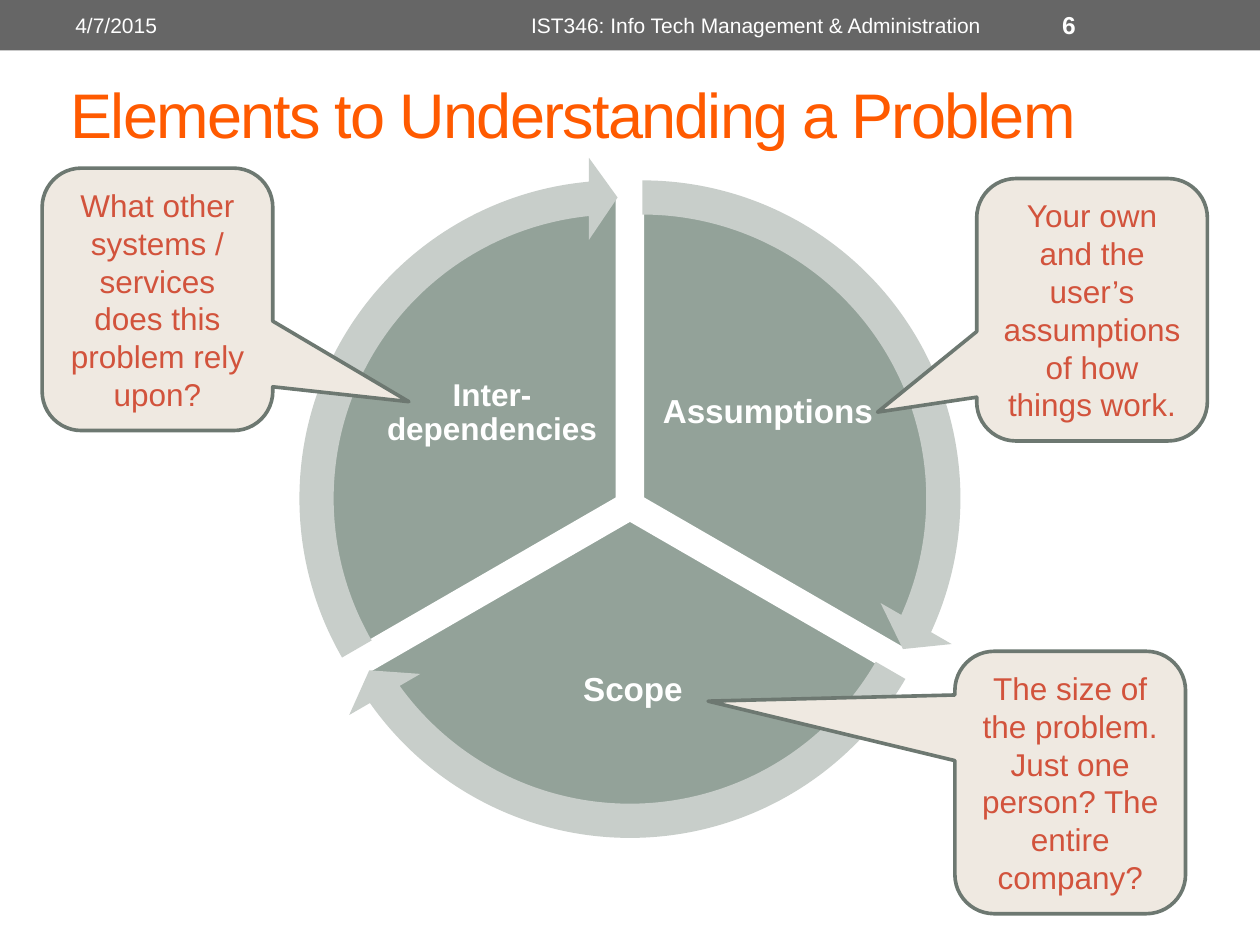
"""Build the slide on the elements to understanding a problem."""
from dataclasses import dataclass

from pptx import Presentation
from pptx.dml.color import RGBColor
from pptx.enum.shapes import MSO_SHAPE
from pptx.enum.text import MSO_ANCHOR, MSO_AUTO_SIZE, PP_ALIGN
from pptx.util import Cm, Pt

RECT = MSO_SHAPE.RECTANGLE
PIE = MSO_SHAPE.PIE
ARROW = MSO_SHAPE.CIRCULAR_ARROW
CALLOUT = MSO_SHAPE.ROUNDED_RECTANGULAR_CALLOUT
MIDDLE = MSO_ANCHOR.MIDDLE
NO_FIT = MSO_AUTO_SIZE.NONE
LEFT, CENTER = PP_ALIGN.LEFT, PP_ALIGN.CENTER

WHITE = RGBColor(0xFF, 0xFF, 0xFF)
GREY = RGBColor(0x66, 0x66, 0x66)
ORANGE = RGBColor(0xFF, 0x5A, 0x00)
SAGE = RGBColor(0x93, 0xA2, 0x99)
PALE_SAGE = RGBColor(0xC8, 0xCE, 0xCA)
DARK_SAGE = RGBColor(0x6D, 0x78, 0x71)
CREAM = RGBColor(0xEF, 0xE9, 0xE1)
RED = RGBColor(0xD2, 0x53, 0x3C)

FONT = "Arial"
LINE_WIDTH = Pt(2.08)
PIE_SIZE = 12.27
ARROW_SIZE = 13.79
CALLOUT_SIZE = (4.65, 5.29)
HEADER_TOP, HEADER_HEIGHT = 0.05, 0.91


@dataclass
class Sector:
    label: str
    size: int
    center: tuple
    box: tuple
    pie_angles: tuple
    arrow_angles: tuple


@dataclass
class Callout:
    text: str
    left: float
    top: float
    tip: tuple


@dataclass
class HeaderItem:
    text: str
    left: float
    width: float
    size: int = 12
    bold: bool = False
    align: PP_ALIGN = LEFT


SECTORS = [
    Sector("Assumptions", 19, (12.95, 10.05), (13.28, 6.5, 4.4, 3.66),
           (162, 18), (14.73, 161.99)),
    Sector("Scope", 19, (12.7, 10.48), (9.47, 12.32, 6.58, 3.2),
           (18, 90), (86.72, 18.01)),
    Sector("Inter-dependencies", 18, (12.45, 10.05), (7.72, 6.5, 4.4, 3.66),
           (90, 162), (158.73, 90)),
]
CALLOUTS = [
    Callout("Your own and the user’s assumptions of how things work.",
            19.69, 3.6, (-0.93, 0.39)),
    Callout("The size of the problem. Just one person? The entire company?",
            19.25, 13.13, (-1.57, -0.31)),
    Callout("What other systems / services does this problem rely upon?",
            0.85, 3.39, (1.09, 0.39)),
]
HEADER = [
    HeaderItem("4/7/2015", 1.27, 8.05),
    HeaderItem("IST346: Info Tech Management & Administration", 9.53, 11.43, align=CENTER),
    HeaderItem("6", 21.16, 2.97, size=14, bold=True),
]


def write(sp, text: str, *, size: int, color: RGBColor, bold: bool = False,
          align: PP_ALIGN = CENTER, line_spacing: float = 1.0,
          inset: float | None = None, spacing: int | None = None) -> None:
    tf = sp.text_frame
    tf.word_wrap = True
    tf.auto_size = NO_FIT
    tf.vertical_anchor = MIDDLE
    if inset is not None:
        tf.margin_left = tf.margin_right = tf.margin_top = tf.margin_bottom = Cm(inset)
    p = tf.paragraphs[0]
    p.alignment = align
    p.line_spacing = line_spacing
    r = p.add_run()
    r.text = text
    r.font.name = FONT
    r.font.size = Pt(size)
    r.font.bold = bold
    r.font.color.rgb = color
    if spacing is not None:
        r.font._element.set("spc", str(spacing))


def add_shape(s, kind: MSO_SHAPE, box: tuple, fill: RGBColor,
              line: RGBColor | None = None, adjustments: tuple = ()):
    sp = s.shapes.add_shape(kind, *map(Cm, box))
    sp.shadow.inherit = False
    sp.fill.solid()
    sp.fill.fore_color.rgb = fill
    if line is None:
        sp.line.fill.background()
    else:
        sp.line.color.rgb = line
        sp.line.width = LINE_WIDTH
    for i, value in enumerate(adjustments):
        sp.adjustments[i] = value
    return sp


def square(center: tuple, size: float) -> tuple:
    x, y = center
    return x - size / 2, y - size / 2, size, size


def add_sector(s, sector: Sector) -> None:
    add_shape(s, PIE, square(sector.center, PIE_SIZE), SAGE, WHITE, sector.pie_angles)
    sp = s.shapes.add_textbox(*map(Cm, sector.box))
    write(sp, sector.label, size=sector.size, color=WHITE, bold=True,
          line_spacing=0.9, inset=0.06)


def add_arrow(s, sector: Sector) -> None:
    add_shape(s, ARROW, square(sector.center, ARROW_SIZE), PALE_SAGE,
              adjustments=(0.05, 3.28, *sector.arrow_angles, 0.06))


def add_callout(s, callout: Callout) -> None:
    sp = add_shape(s, CALLOUT, (callout.left, callout.top, *CALLOUT_SIZE),
                   CREAM, DARK_SAGE, (*callout.tip, 0.17))
    write(sp, callout.text, size=18, color=RED)


def add_header_item(s, item: HeaderItem) -> None:
    sp = s.shapes.add_textbox(Cm(item.left), Cm(HEADER_TOP),
                              Cm(item.width), Cm(HEADER_HEIGHT))
    write(sp, item.text, size=item.size, color=WHITE, bold=item.bold, align=item.align)


def main() -> None:
    prs = Presentation()
    prs.slide_width, prs.slide_height = Cm(25.4), Cm(19.05)
    s = prs.slides.add_slide(prs.slide_layouts[5])

    title = s.shapes.title
    title.left, title.top, title.width, title.height = map(Cm, (1.17, 1.22, 22.86, 2.11))
    write(title, "Elements to Understanding a Problem", size=36, color=ORANGE,
          align=LEFT, spacing=-100)

    add_shape(s, RECT, (0, 0, 25.4, 1.02), GREY)
    for sector in SECTORS:
        add_sector(s, sector)
    for sector in SECTORS:
        add_arrow(s, sector)
    for callout in CALLOUTS:
        add_callout(s, callout)
    for item in HEADER:
        add_header_item(s, item)

    prs.save("out.pptx")


if __name__ == "__main__":
    main()
